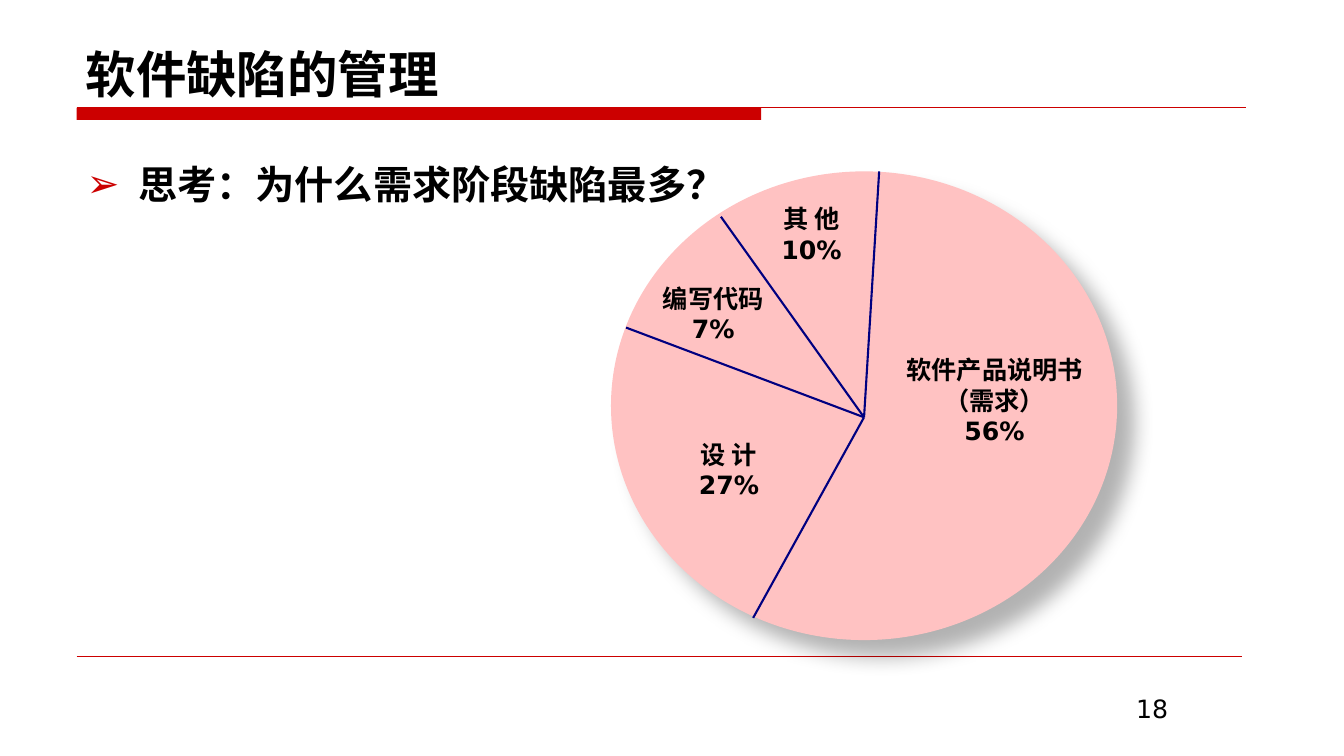
from lxml import etree
from pptx import Presentation
from pptx.dml.color import RGBColor
from pptx.enum.shapes import MSO_CONNECTOR, MSO_SHAPE
from pptx.enum.text import MSO_ANCHOR, MSO_AUTO_SIZE, PP_ALIGN
from pptx.oxml import parse_xml
from pptx.oxml.ns import nsdecls, qn
from pptx.util import Inches, Pt

CJK_FONT = "Noto Sans CJK SC"
LATIN_FONT = "DejaVu Sans"
RED = "CC0000"
NAVY = "000080"
PINK = "FFC2C2"
BLACK = "000000"


def add_run(paragraph, text, size, font, bold=True):
    run = paragraph.add_run()
    run.text = text
    run.font.size = Pt(size)
    run.font.bold = bold
    run.font.name = font
    run.font.color.rgb = RGBColor.from_string(BLACK)
    east_asian = etree.SubElement(run.font._element, qn("a:ea"))
    east_asian.set("typeface", CJK_FONT)


def add_line(start, end, color, width):
    line = slide.shapes.add_connector(
        MSO_CONNECTOR.STRAIGHT, *(Inches(value) for value in (*start, *end)))
    line.line.color.rgb = RGBColor.from_string(color)
    line.line.width = Pt(width)
    etree.SubElement(line._element.spPr, qn("a:effectLst"))


presentation = Presentation()
presentation.slide_width = Inches(13.33)
presentation.slide_height = Inches(7.5)
slide = presentation.slides.add_slide(presentation.slide_layouts[1])

# Header rule and footer rule
header_bar = slide.shapes.add_shape(
    MSO_SHAPE.RECTANGLE, Inches(0.76), Inches(1.07), Inches(6.79), Inches(0.12))
header_bar.shadow.inherit = False
header_bar.fill.solid()
header_bar.fill.fore_color.rgb = RGBColor.from_string(RED)
header_bar.line.fill.background()
add_line((0.76, 1.07), (12.36, 1.07), RED, 0.75)
add_line((0.76, 6.51), (12.32, 6.51), RED, 0.25)

# Title and question
title = slide.shapes.title
title.left, title.top = Inches(0.75), Inches(0.29)
title.width, title.height = Inches(11.67), Inches(0.79)
title.text_frame.vertical_anchor = MSO_ANCHOR.BOTTOM
title.text_frame.auto_size = MSO_AUTO_SIZE.NONE
heading = title.text_frame.paragraphs[0]
heading.alignment = PP_ALIGN.LEFT
add_run(heading, "软件缺陷的管理", 36, CJK_FONT)

body = slide.placeholders[1]
body.left, body.top = Inches(0.76), Inches(1.31)
body.width, body.height = Inches(11.67), Inches(4.67)
body.text_frame.auto_size = MSO_AUTO_SIZE.NONE
question = body.text_frame.paragraphs[0]
question.line_spacing = 1.5
question.space_before = Pt(5.6)
bullet_format = question._p.get_or_add_pPr()
bullet_format.set("marL", str(Inches(0.51)))
bullet_format.set("indent", str(-Inches(0.51)))
bullet_color = etree.SubElement(bullet_format, qn("a:buClr"))
etree.SubElement(bullet_color, qn("a:srgbClr")).set("val", RED)
etree.SubElement(bullet_format, qn("a:buChar")).set("char", "➢")
add_run(question, "思考：为什么需求阶段缺陷最多？", 28, CJK_FONT)

# Page number
page_number = slide.shapes.add_textbox(
    Inches(11.17), Inches(6.83), Inches(2.16), Inches(0.52))
page_number.text_frame.word_wrap = True
add_run(page_number.text_frame.paragraphs[0], "18", 18, LATIN_FONT, bold=False)

# Hand-drawn pie: disc with a soft shadow, then the dividing lines
disc = slide.shapes.add_shape(
    MSO_SHAPE.OVAL, Inches(6.06), Inches(1.7), Inches(5.02), Inches(4.65))
disc.fill.solid()
disc.fill.fore_color.rgb = RGBColor.from_string(PINK)
disc.line.fill.background()
disc._element.spPr.append(parse_xml(
    f'<a:effectLst {nsdecls("a")}>'
    f'<a:outerShdw blurRad="{Pt(15)}" dist="{Pt(18)}" dir="2700000" algn="tl" rotWithShape="0">'
    f'<a:srgbClr val="{BLACK}"><a:alpha val="30000"/></a:srgbClr>'
    '</a:outerShdw></a:effectLst>'))

hub = (8.57, 4.14)
for rim in [(8.72, 1.7), (7.47, 6.13), (6.21, 3.25), (7.15, 2.15)]:
    add_line(hub, rim, NAVY, 1.5)

# Slice labels: left, top, width, height, name, share
slice_labels = [
    (7.66, 2.02, 0.78, 0.6, "其 他", "10%"),
    (8.88, 3.52, 1.97, 0.9, "软件产品说明书（需求）", "56%"),
    (6.37, 2.81, 1.41, 0.6, "编写代码", "7%"),
    (6.84, 4.36, 0.78, 0.6, "设 计", "27%"),
]
for left, top, width, height, name, share in slice_labels:
    label = slide.shapes.add_textbox(
        Inches(left), Inches(top), Inches(width), Inches(height)).text_frame
    label.word_wrap = True
    label.margin_left = label.margin_right = 0
    label.margin_top = label.margin_bottom = 0
    for paragraph, text in ((label.paragraphs[0], name), (label.add_paragraph(), share)):
        paragraph.alignment = PP_ALIGN.CENTER
        add_run(paragraph, text, 18, LATIN_FONT)

presentation.save("out.pptx")
